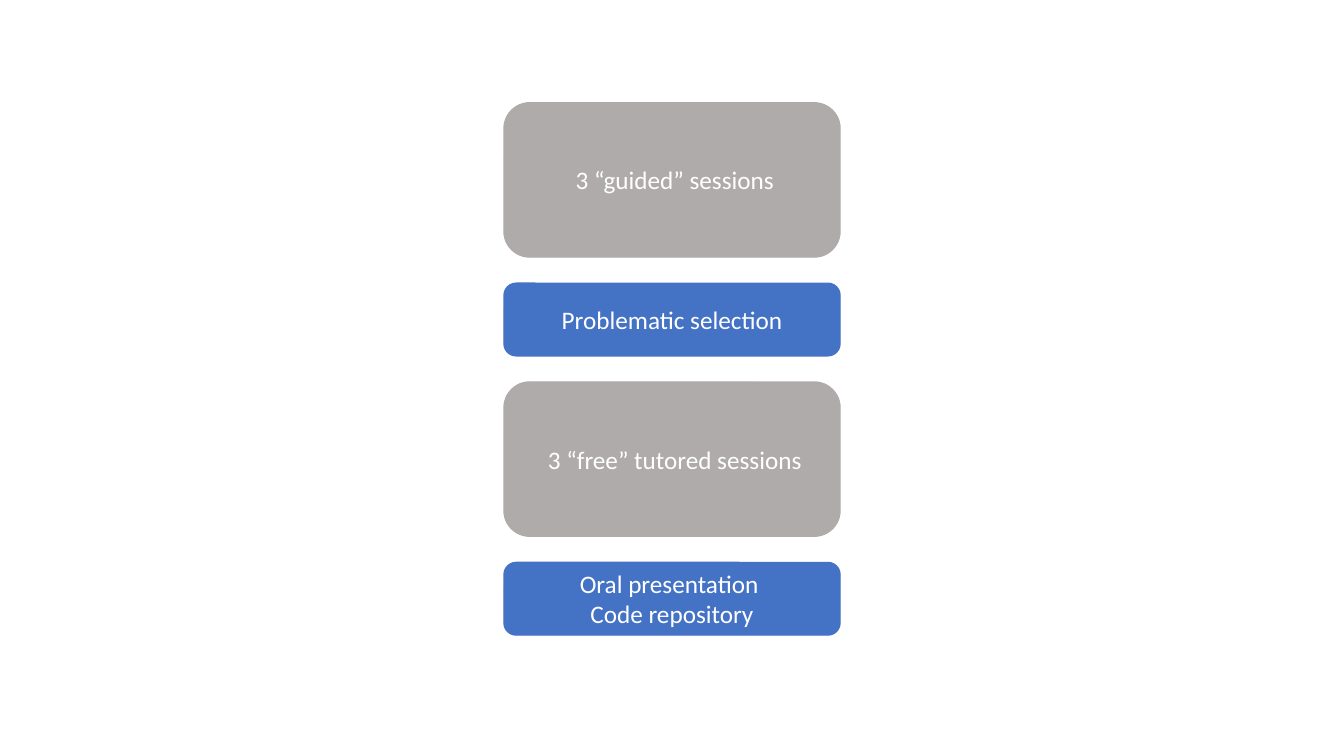
from pptx import Presentation
from pptx.dml.color import RGBColor
from pptx.enum.shapes import MSO_SHAPE
from pptx.enum.text import MSO_ANCHOR, PP_ALIGN
from pptx.util import Inches, Pt

ROUNDED = MSO_SHAPE.ROUNDED_RECTANGLE
MIDDLE = MSO_ANCHOR.MIDDLE
CENTER = PP_ALIGN.CENTER

SLIDE_WIDTH, SLIDE_HEIGHT = 13.33, 7.5
SESSION_HEIGHT, MILESTONE_HEIGHT, GAP = 1.53, 0.72, 0.26
SESSION_COLOUR, MILESTONE_COLOUR, TEXT_COLOUR = "AFABAB", "4472C4", "FFFFFF"

STAGES = [
    (" 3 “guided” sessions", SESSION_HEIGHT, SESSION_COLOUR),
    ("Problematic selection", MILESTONE_HEIGHT, MILESTONE_COLOUR),
    (" 3 “free” tutored sessions", SESSION_HEIGHT, SESSION_COLOUR),
    ("Oral presentation \nCode repository", MILESTONE_HEIGHT, MILESTONE_COLOUR),
]


def paint(colour_format, hex_colour):
    colour_format.rgb = RGBColor.from_string(hex_colour)


def add_stage(slide, left, top, width, height, label, colour):
    stage = slide.shapes.add_shape(
        ROUNDED, Inches(left), Inches(top), Inches(width), Inches(height)
    )
    stage.shadow.inherit = False
    stage.fill.solid()
    paint(stage.fill.fore_color, colour)
    paint(stage.line.color, colour)
    stage.line.width = Pt(1)
    frame = stage.text_frame
    frame.text = label
    frame.word_wrap = True
    frame.vertical_anchor = MIDDLE
    for paragraph in frame.paragraphs:
        paragraph.alignment = CENTER
        for run in paragraph.runs:
            run.font.name = "Calibri"
            run.font.size = Pt(18)
            paint(run.font.color, TEXT_COLOUR)


def add_course_outline(slide, left, top, width):
    for label, height, colour in STAGES:
        add_stage(slide, left, top, width, height, label, colour)
        top += height + GAP


def main():
    presentation = Presentation()
    presentation.slide_width = Inches(SLIDE_WIDTH)
    presentation.slide_height = Inches(SLIDE_HEIGHT)
    slide = presentation.slides.add_slide(presentation.slide_layouts[6])
    outline_width = SLIDE_WIDTH / 4
    add_course_outline(slide, (SLIDE_WIDTH - outline_width) / 2, 1.02, outline_width)
    presentation.save("out.pptx")


if __name__ == "__main__":
    main()
